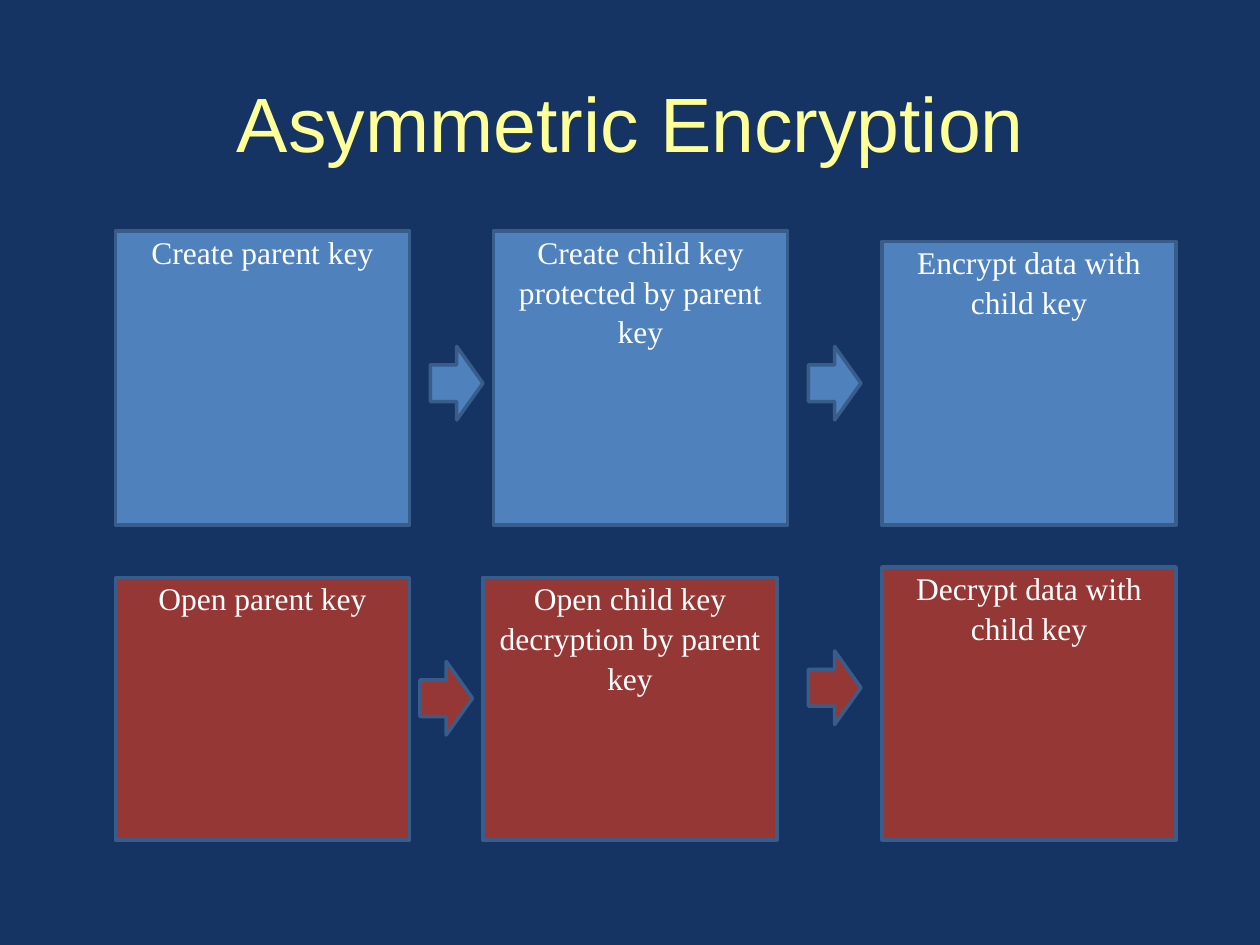
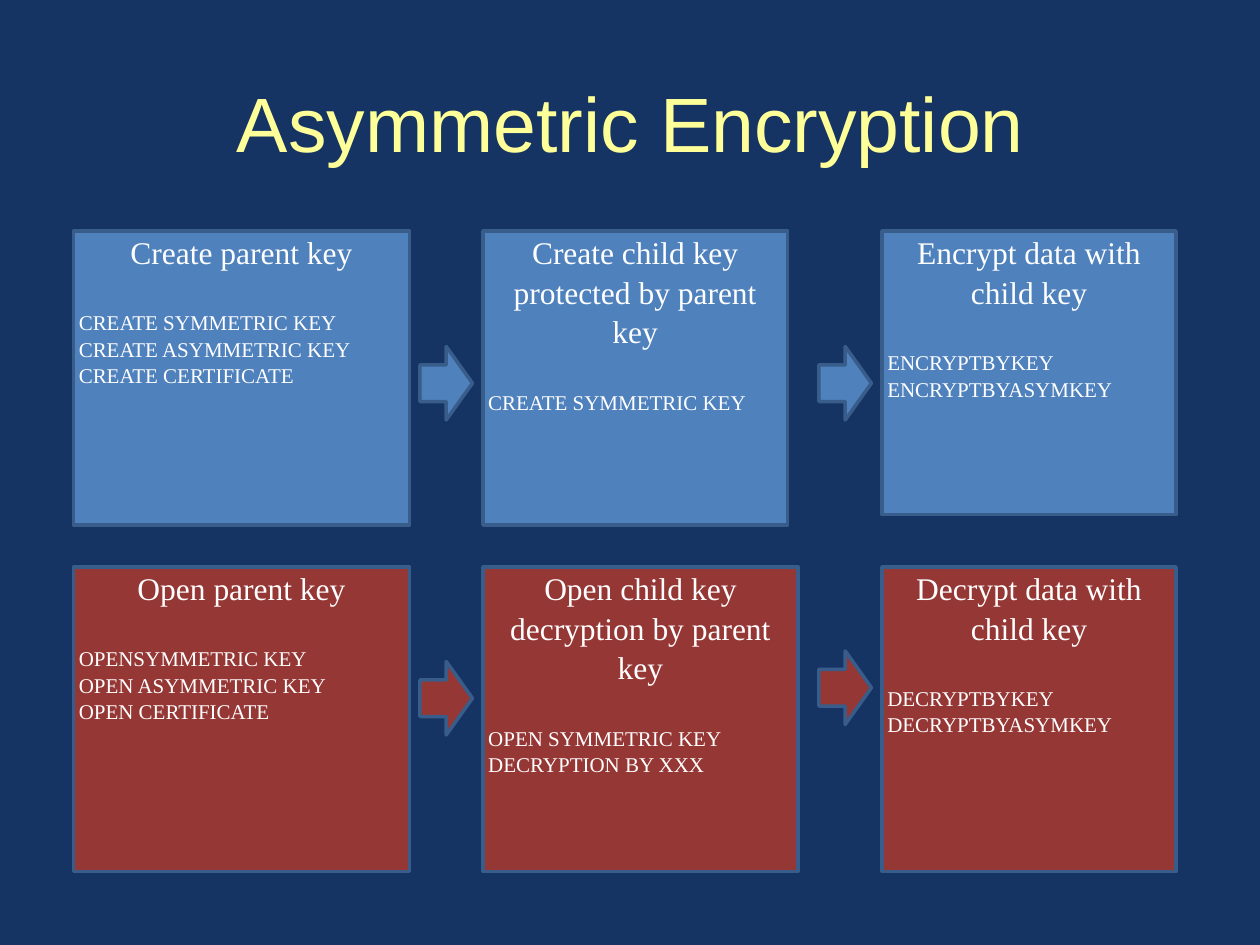
from pptx import Presentation
from pptx.dml.color import RGBColor
from pptx.enum.shapes import MSO_SHAPE
from pptx.enum.text import MSO_ANCHOR, PP_ALIGN
from pptx.util import Pt

RECT = MSO_SHAPE.RECTANGLE
ARROW = MSO_SHAPE.RIGHT_ARROW
CENTER, LEFT = PP_ALIGN.CENTER, PP_ALIGN.LEFT
TOP, MIDDLE = MSO_ANCHOR.TOP, MSO_ANCHOR.MIDDLE

NAVY, YELLOW, WHITE = "163463", "FFFF99", "FFFFFF"
BLUE, RED, OUTLINE = "4F81BD", "953735", "385D8A"
TITLE_FONT, BODY_FONT = "Arial", "Times New Roman"


def rgb(color):
    return RGBColor.from_string(color)


class Deck:
    def __init__(self):
        self.prs = Presentation()
        self.prs.slide_width = Pt(720)
        self.prs.slide_height = Pt(540)
        self.s = None

    def slide(self, title):
        self.s = self.prs.slides.add_slide(self.prs.slide_layouts[6])
        self.s.background.fill.solid()
        self.s.background.fill.fore_color.rgb = rgb(NAVY)
        tf = self.frame(self.s.shapes, (36, 7.5, 648, 118.5), (7.5, 7.5, 6.5, 4.5), MIDDLE)
        self.run(tf.paragraphs[0], title, 44, TITLE_FONT, YELLOW, CENTER)

    def frame(self, shapes, box, insets, anchor):
        tf = shapes.add_textbox(*map(Pt, box)).text_frame
        tf.word_wrap = True
        tf.vertical_anchor = anchor
        tf.margin_left, tf.margin_top, tf.margin_right, tf.margin_bottom = map(Pt, insets)
        return tf

    def run(self, p, text, size, font, color, align):
        p.alignment = align
        p.line_spacing = 1.05
        r = p.add_run()
        r.text = text
        r.font.size = Pt(size)
        r.font.name = font
        r.font.color.rgb = rgb(color)

    def shape(self, shapes, kind, box, fill):
        sp = shapes.add_shape(kind, *map(Pt, box))
        sp.shadow.inherit = False
        sp.fill.solid()
        sp.fill.fore_color.rgb = rgb(fill)
        sp.line.color.rgb = rgb(OUTLINE)
        sp.line.width = Pt(2)

    def card(self, box, fill, heading, commands):
        shapes = self.s.shapes.add_group_shape().shapes
        self.shape(shapes, RECT, box, fill)
        tf = self.frame(shapes, box, (3, 0, 3, 0), TOP)
        self.run(tf.paragraphs[0], heading, 18, BODY_FONT, WHITE, CENTER)
        for i, command in enumerate(commands):
            p = tf.add_paragraph()
            if i == 0:
                p.space_before = Pt(21.7)
            self.run(p, command, 12, BODY_FONT, WHITE, LEFT)

    def arrow(self, left, top, fill):
        self.shape(self.s.shapes, ARROW, (left, top, 30, 42), fill)


FLOWS = [
    (BLUE, ["Create parent key", "Create child key protected by parent key",
            "Encrypt data with child key"]),
    (RED, ["Open parent key", "Open child key decryption by parent key",
           "Decrypt data with child key"]),
]
NO_COMMANDS = [[[], [], []]] * 2
COMMANDS = [
    [["CREATE SYMMETRIC KEY", "CREATE ASYMMETRIC KEY", "CREATE CERTIFICATE"],
     ["CREATE SYMMETRIC KEY"],
     ["ENCRYPTBYKEY", "ENCRYPTBYASYMKEY"]],
    [["OPENSYMMETRIC KEY", "OPEN ASYMMETRIC KEY", "OPEN CERTIFICATE"],
     ["OPEN SYMMETRIC KEY", "DECRYPTION BY XXX"],
     ["DECRYPTBYKEY", "DECRYPTBYASYMKEY"]],
]
OVERVIEW_BOXES = [
    [(66, 132, 168, 168), (282, 132, 168, 168), (504, 138, 168, 162)],
    [(66, 330, 168, 150), (276, 330, 168, 150), (504, 324, 168, 156)],
]
COMMAND_BOXES = [
    [(42, 132, 192, 168), (276, 132, 174, 168), (504, 132, 168, 162)],
    [(42, 324, 192, 174), (276, 324, 180, 174), (504, 324, 168, 174)],
]
OVERVIEW_ARROWS = [[(246, 198), (462, 198)], [(240, 378), (462, 372)]]
COMMAND_ARROWS = [[(240, 198), (468, 198)], [(240, 378), (468, 372)]]


def main():
    deck = Deck()
    for boxes, arrows, commands in [
        (OVERVIEW_BOXES, OVERVIEW_ARROWS, NO_COMMANDS),
        (COMMAND_BOXES, COMMAND_ARROWS, COMMANDS),
    ]:
        deck.slide("Asymmetric Encryption")
        for (fill, headings), row_boxes, row_commands in zip(FLOWS, boxes, commands):
            for card in zip(row_boxes, headings, row_commands):
                deck.card(card[0], fill, *card[1:])
        for (fill, _), row_arrows in zip(FLOWS, arrows):
            for left, top in row_arrows:
                deck.arrow(left, top, fill)
    deck.prs.save("out.pptx")


if __name__ == "__main__":
    main()
